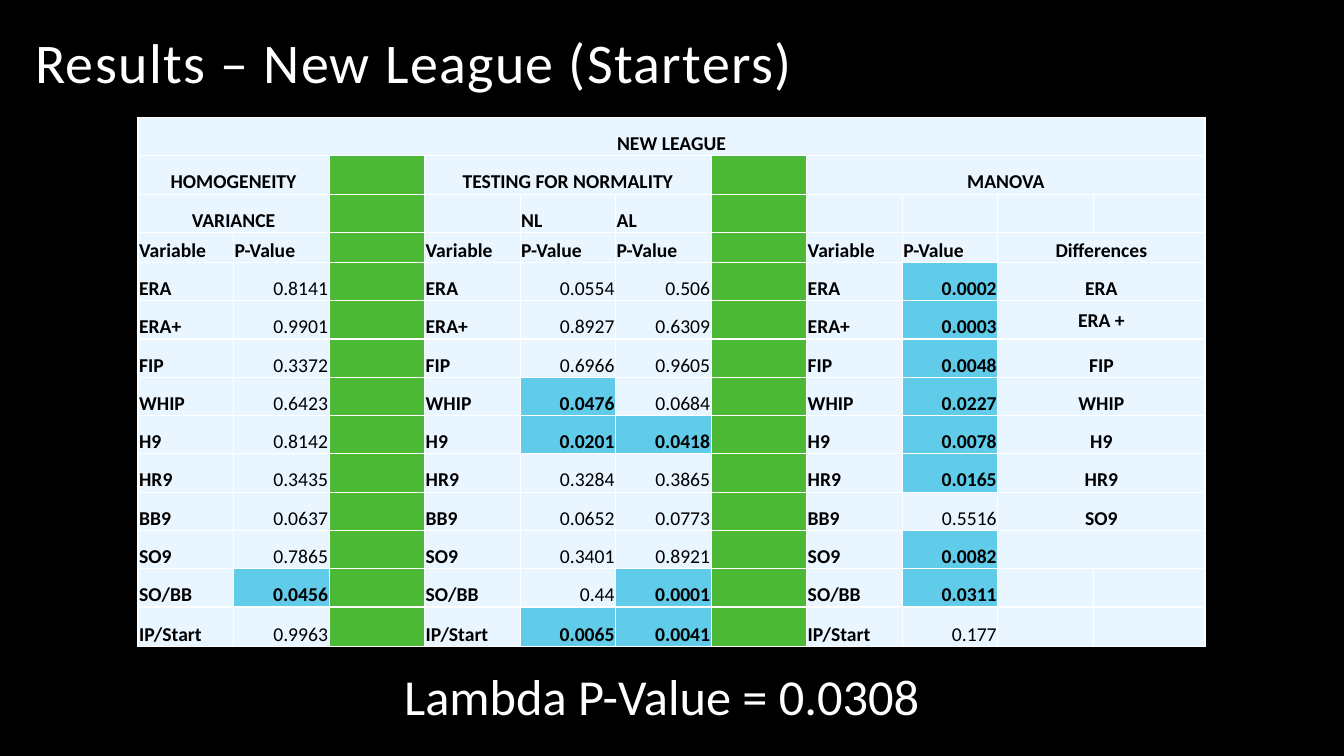
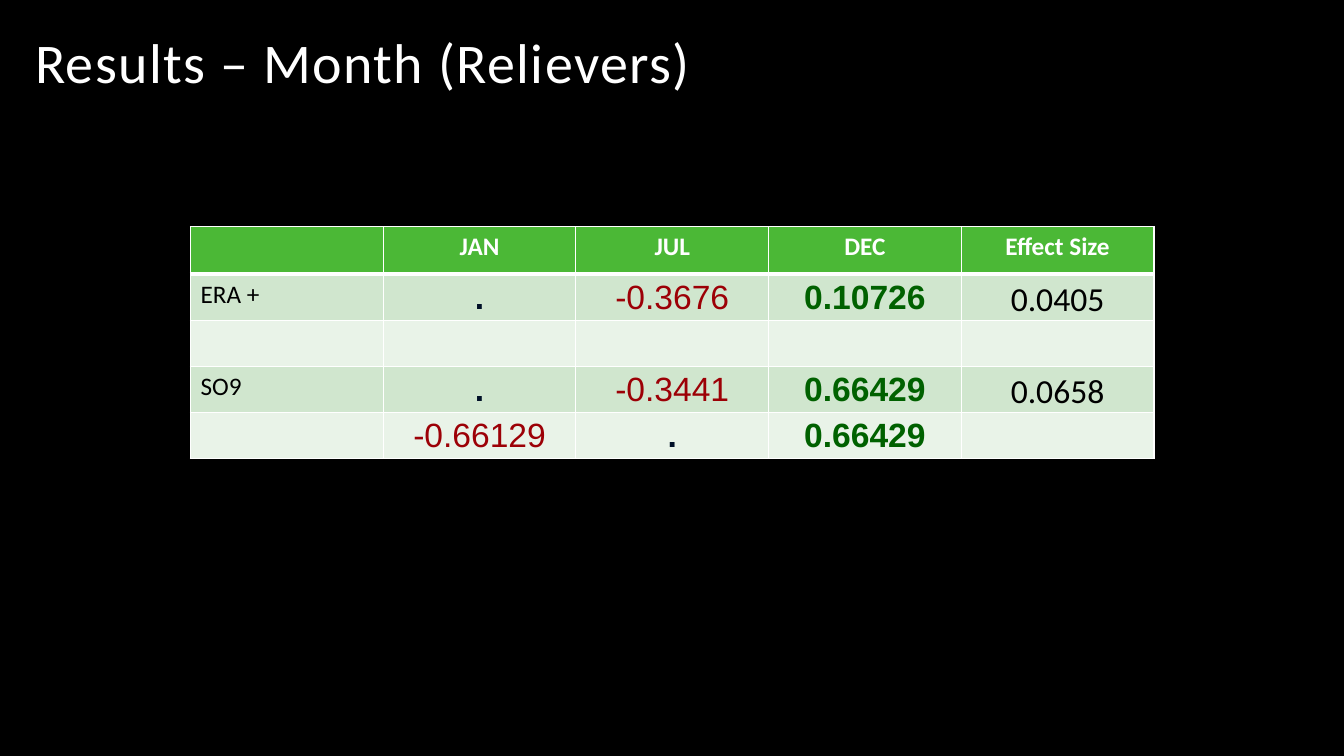
from dataclasses import dataclass, replace

from lxml.etree import SubElement
from pptx import Presentation
from pptx.dml.color import RGBColor
from pptx.enum.text import MSO_ANCHOR, MSO_AUTO_SIZE, PP_ALIGN
from pptx.oxml import parse_xml
from pptx.oxml.ns import nsdecls, qn
from pptx.util import Emu, Pt

PX_PER_INCH = 192
BLACK, WHITE = "000000", "FFFFFF"
GREEN, PALE_GREEN, FAINT_GREEN = "4BB836", "D0E6CE", "E9F3E8"
PALE_BLUE, BRIGHT_BLUE = "E9F5FF", "60CCEA"
NAVY, DARK_RED, DARK_GREEN = "001027", "9C0006", "006100"
LEFT, CENTER, RIGHT = PP_ALIGN.LEFT, PP_ALIGN.CENTER, PP_ALIGN.RIGHT
TOP, MIDDLE, BOTTOM = MSO_ANCHOR.TOP, MSO_ANCHOR.MIDDLE, MSO_ANCHOR.BOTTOM

SIGNIFICANCE = 0.05
GAP_COLUMNS = (2, 6)
LEAGUE_HEADINGS = [
    {0: "NEW LEAGUE"},
    {0: "HOMOGENEITY", 3: "TESTING FOR NORMALITY", 7: "MANOVA"},
    {0: "VARIANCE", 4: "NL", 5: "AL"},
    {0: "Variable", 1: "P-Value", 3: "Variable", 4: "P-Value", 5: "P-Value",
     7: "Variable", 8: "P-Value", 9: "Differences"},
]
LEAGUE_RESULTS = [
    ("ERA", "0.8141", "0.0554", "0.506", "0.0002", "ERA"),
    ("ERA+", "0.9901", "0.8927", "0.6309", "0.0003", "ERA +"),
    ("FIP", "0.3372", "0.6966", "0.9605", "0.0048", "FIP"),
    ("WHIP", "0.6423", "0.0476", "0.0684", "0.0227", "WHIP"),
    ("H9", "0.8142", "0.0201", "0.0418", "0.0078", "H9"),
    ("HR9", "0.3435", "0.3284", "0.3865", "0.0165", "HR9"),
    ("BB9", "0.0637", "0.0652", "0.0773", "0.5516", "SO9"),
    ("SO9", "0.7865", "0.3401", "0.8921", "0.0082", ""),
    ("SO/BB", "0.0456", "0.44", "0.0001", "0.0311", ""),
    ("IP/Start", "0.9963", "0.0065", "0.0041", "0.177", ""),
]
LEAGUE_MERGES = [(0, 0, 10), (1, 0, 1), (1, 3, 5), (1, 7, 10), (2, 0, 1)]
LEAGUE_MERGES += [(row, 9, 10) for row in range(3, 12)]

MONTH_ROWS = [
    ("", "JAN", "JUL", "DEC", "Effect Size"),
    ("ERA +", ".", "-0.3676", "0.10726", "0.0405"),
    ("", "", "", "", ""),
    ("SO9", ".", "-0.3441", "0.66429", "0.0658"),
    ("", "-0.66129", ".", "0.66429", ""),
]


@dataclass(frozen=True)
class CellStyle:
    fill: str
    size: int = 18
    font: str = "Calibri"
    color: str = BLACK
    bold: bool = False
    align: PP_ALIGN = LEFT
    anchor: MSO_ANCHOR = TOP
    tight: bool = False


LEAGUE_LABEL = CellStyle(PALE_BLUE, size=14, bold=True, anchor=BOTTOM, tight=True)
MONTH_HEADER = CellStyle(GREEN, color=WHITE, bold=True, align=CENTER)


def px(length):
    return Emu(length * 914400 // PX_PER_INCH)


def rgb(color):
    return RGBColor.from_string(color)


def format_runs(paragraph, size, color, font="Calibri", bold=False):
    for run in paragraph.runs:
        run.font.size = Pt(size)
        run.font.name = font
        run.font.bold = bold
        run.font.color.rgb = rgb(color)


def add_titled_slide(presentation, text):
    slide = presentation.slides.add_slide(presentation.slide_layouts[5])
    title = slide.shapes.title
    title.left, title.top, title.width, title.height = map(px, (48, 48, 1920, 144))
    frame = title.text_frame
    frame.text = text
    frame.auto_size = MSO_AUTO_SIZE.NONE
    frame.vertical_anchor = BOTTOM
    paragraph = frame.paragraphs[0]
    paragraph.alignment = LEFT
    paragraph.line_spacing = 0.9
    format_runs(paragraph, 40, WHITE)
    paragraph.runs[0].font._element.set("spc", "100")
    return slide


def add_plain_table(slide, left, top, widths, heights):
    frame = slide.shapes.add_table(
        len(heights), len(widths), px(left), px(top), px(sum(widths)), px(sum(heights)))
    table = frame.table
    table.first_row = table.horz_banding = False
    for column, width in zip(table.columns, widths):
        column.width = px(width)
    for row, height in zip(table.rows, heights):
        row.height = px(height)
    return table


def set_borders(cell, top=1, bottom=1):
    properties = cell._tc.get_or_add_tcPr()
    sides = (("lnL", 1), ("lnR", 1), ("lnT", top), ("lnB", bottom))
    for index, (side, width) in enumerate(sides):
        properties.insert(index, parse_xml(
            f'<a:{side} {nsdecls("a")} w="{Pt(width)}"><a:solidFill>'
            f'<a:srgbClr val="{WHITE}"/></a:solidFill></a:{side}>'))


def fill_cell(cell, text, style):
    cell.fill.solid()
    cell.fill.fore_color.rgb = rgb(style.fill)
    cell.vertical_anchor = style.anchor
    if style.tight:
        cell.margin_left = cell.margin_right = cell.margin_top = px(2)
        cell.margin_bottom = 0
    cell.text_frame.text = text
    paragraph = cell.text_frame.paragraphs[0]
    paragraph.alignment = style.align
    format_runs(paragraph, style.size, style.color, style.font, style.bold)
    if not text:
        SubElement(paragraph._p, qn("a:endParaRPr"), sz=str(style.size * 100))


def league_grid():
    grid = [[heading.get(column, "") for column in range(11)]
            for heading in LEAGUE_HEADINGS]
    for name, variance, national, american, manova, difference in LEAGUE_RESULTS:
        grid.append([name, variance, "", name, national, american, "",
                     name, manova, difference, ""])
    return grid


def league_style(row, column, text):
    if row > 0 and column in GAP_COLUMNS:
        return replace(LEAGUE_LABEL, fill=GREEN)
    if row < 2 or (row == 2 and column == 0) or column == 9:
        anchor = MIDDLE if text == "ERA +" else BOTTOM
        return replace(LEAGUE_LABEL, align=CENTER, anchor=anchor)
    if text.startswith("0."):
        significant = float(text) < SIGNIFICANCE
        return replace(LEAGUE_LABEL, fill=BRIGHT_BLUE if significant else PALE_BLUE,
                       bold=significant, align=RIGHT)
    return LEAGUE_LABEL


def month_style(row, column, text):
    if row == 0:
        return MONTH_HEADER
    base = CellStyle(PALE_GREEN if row % 2 else FAINT_GREEN)
    if column == 0 or not text:
        return base
    number = replace(base, size=24, align=CENTER, anchor=MIDDLE, tight=True)
    if column == 4:
        return replace(number, anchor=BOTTOM)
    if text == ".":
        return replace(number, font="Arial", color=NAVY, bold=True)
    if text.startswith("-"):
        return replace(number, font="Arial", color=DARK_RED)
    return replace(number, font="Arial", color=DARK_GREEN, bold=True)


def fill_table(table, grid, style_for, header_line=1):
    for row, texts in enumerate(grid):
        for column, text in enumerate(texts):
            cell = table.cell(row, column)
            fill_cell(cell, text, style_for(row, column, text))
            set_borders(cell, top=header_line if row == 1 else 1,
                        bottom=header_line if row == 0 else 1)


def add_lambda_line(slide):
    box = slide.shapes.add_textbox(px(751), px(1258), px(1058), px(136))
    frame = box.text_frame
    frame.text = "Lambda P-Value = 0.0308"
    frame.word_wrap = False
    frame.auto_size = MSO_AUTO_SIZE.SHAPE_TO_FIT_TEXT
    format_runs(frame.paragraphs[0], 36, WHITE)


def add_league_slide(presentation):
    slide = add_titled_slide(presentation, "Results – New League (Starters)")
    heights = [73] * 3 + [57] + [73] * 9 + [75]
    table = add_plain_table(slide, 263, 224, [182] * 10 + [213], heights)
    fill_table(table, league_grid(), league_style)
    for row, first, last in LEAGUE_MERGES:
        table.cell(row, first).merge(table.cell(row, last))
    add_lambda_line(slide)


def add_month_slide(presentation):
    slide = add_titled_slide(presentation, "Results – Month (Relievers)")
    table = add_plain_table(slide, 363, 432, [367] * 5, [90] + [88] * 4)
    fill_table(table, MONTH_ROWS, month_style, header_line=3)


def main():
    presentation = Presentation()
    presentation.slide_width, presentation.slide_height = px(2560), px(1440)
    background = presentation.slide_master.background.fill
    background.solid()
    background.fore_color.rgb = rgb(BLACK)
    add_league_slide(presentation)
    add_month_slide(presentation)
    presentation.save("out.pptx")


if __name__ == "__main__":
    main()
